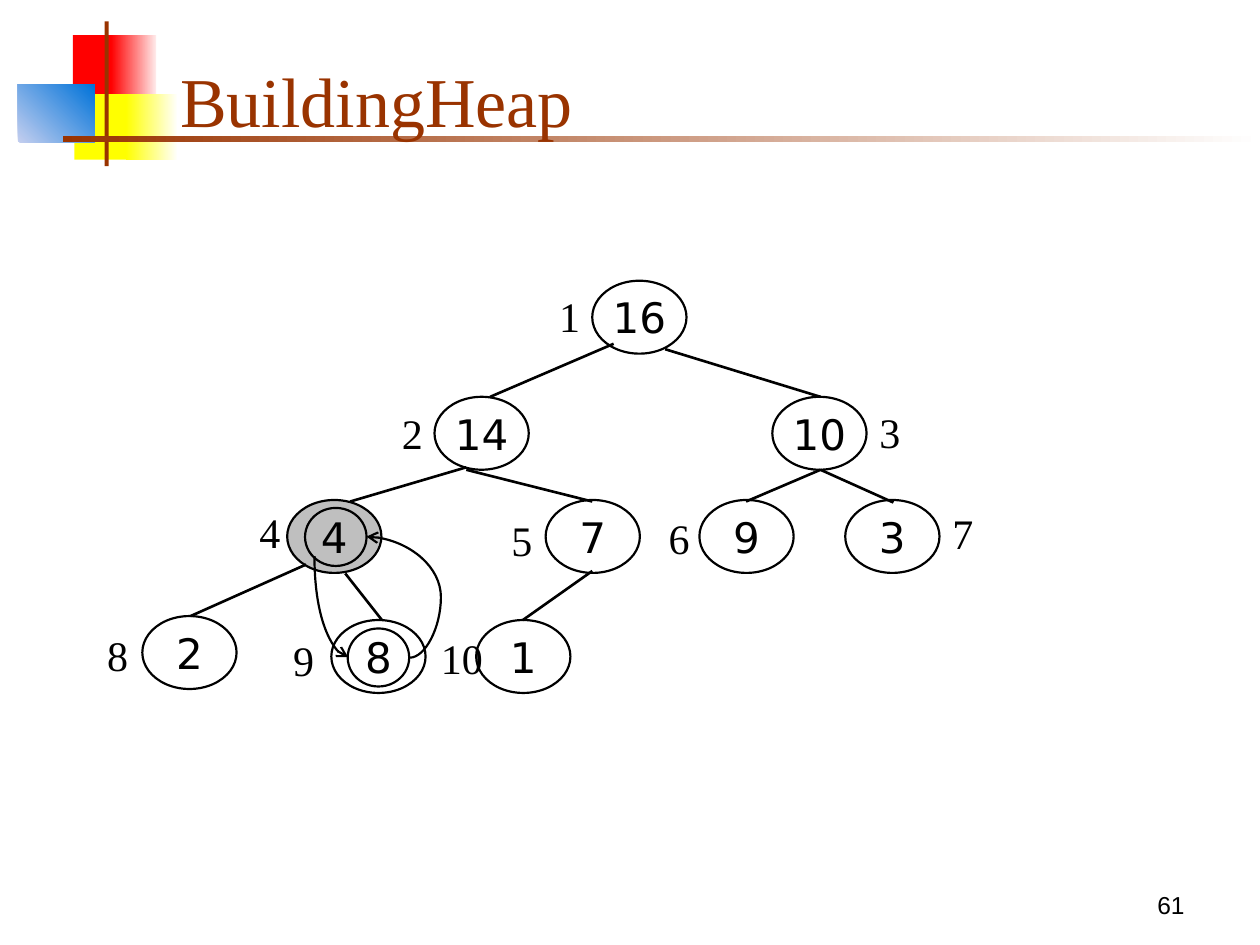
from lxml import etree
from pptx import Presentation
from pptx.dml.color import RGBColor
from pptx.enum.shapes import MSO_CONNECTOR as Connector, MSO_SHAPE as Shape
from pptx.enum.text import MSO_ANCHOR as Anchor, MSO_AUTO_SIZE as AutoSize, PP_ALIGN as Align
from pptx.oxml.ns import qn
from pptx.util import Cm, Pt

COLORS = {
    "black": "000000", "brown": "993300", "white": "FFFFFF", "gray": "BFBFBF",
    "red": "FF0000", "pale red": "FFEAEA", "yellow": "FFFF00",
    "pale yellow": "FFFFF8", "pale blue": "C4CFEF", "blue": "0073D9",
}
TITLE = {"name": "Times New Roman", "size": Pt(40)}
KEY = {"name": "DejaVu Sans", "size": Pt(24)}
INDEX = {"name": "Times New Roman", "size": Pt(24)}
PAGE = {"name": "Arial", "size": Pt(14)}

NODE_SIZE = (1.9, 1.47)
RING_SIZE = (1.24, 1.17)

# left, top, colours, angle
DECORATION = [
    ((1.47, 0.71, 0.89, 1.32), ["red"], 0),
    ((2.24, 0.71, 0.91, 1.32), ["red", "pale red"], 0),
    ((1.5, 1.9, 1.17, 1.32), ["yellow"], 0),
    ((2.54, 1.9, 1.02, 1.32), ["yellow", "pale yellow"], 0),
    ((0.36, 1.7, 1.55, 1.17), ["pale blue", "blue"], 45),
    ((2.11, 0.43, 0.08, 2.92), ["brown"], 0),
    ((1.27, 2.74, 24.13, 0.13), ["brown", "white"], 0),
]
# Heap in array order: key, node position, index label position
HEAP = [
    ("16", (11.94, 5.66), (11.02, 5.74)),
    ("14", (8.76, 8), (7.85, 8.1)),
    ("10", (15.57, 8), (17.48, 8.08)),
    ("4", (5.79, 10.08), (4.98, 10.08)),
    ("7", (11, 10.08), (10.06, 10.24)),
    ("9", (14.1, 10.08), (13.23, 10.21)),
    ("3", (17.04, 10.08), (18.95, 10.11)),
    ("2", (2.87, 12.42), (1.91, 12.57)),
    ("8", (6.68, 12.5), (5.66, 12.67)),
    ("1", (9.6, 12.5), (8.64, 12.62)),
]
CURRENT_INDEX = 4
EDGES = [
    (12.37, 6.93, 9.88, 8), (13.41, 7.04, 16.54, 8),
    (9.4, 9.42, 7.06, 10.11), (9.4, 9.47, 11.94, 10.11),
    (16.54, 9.47, 15.04, 10.11), (16.54, 9.47, 18.01, 10.13),
    (6.17, 11.38, 3.84, 12.42), (6.96, 11.56, 7.7, 12.5),
    (11.94, 11.51, 10.54, 12.5),
]
SWAP_RINGS = [(7.01, 12.67), (6.15, 10.24)]


def rgb(name):
    return RGBColor.from_string(COLORS[name])


def lengths(values):
    return [Cm(value) for value in values]


def write(text_frame, text, style, color="black", align=Align.LEFT):
    paragraph = text_frame.paragraphs[0]
    paragraph.alignment = align
    run = paragraph.add_run()
    run.text = text
    for name, value in style.items():
        setattr(run.font, name, value)
    run.font.color.rgb = rgb(color)


def add_block(slide, box, colors, angle):
    shape = slide.shapes.add_shape(Shape.RECTANGLE, *lengths(box))
    shape.shadow.inherit = False
    shape.line.fill.background()
    if len(colors) == 1:
        shape.fill.solid()
        shape.fill.fore_color.rgb = rgb(colors[0])
        return
    shape.fill.gradient()
    shape.fill.gradient_angle = angle
    for stop, color in zip(shape.fill.gradient_stops, colors):
        stop.color.rgb = rgb(color)


def add_ellipse(slide, position, size, fill=None):
    shape = slide.shapes.add_shape(Shape.OVAL, *lengths(position + size))
    shape.shadow.inherit = False
    shape.line.color.rgb = rgb("black")
    shape.line.width = Pt(1.25)
    if fill:
        shape.fill.solid()
        shape.fill.fore_color.rgb = rgb(fill)
    else:
        shape.fill.background()
    return shape


def add_node(slide, key, position, fill=None):
    text_frame = add_ellipse(slide, position, NODE_SIZE, fill).text_frame
    text_frame.word_wrap = False
    text_frame.vertical_anchor = Anchor.MIDDLE
    write(text_frame, key, KEY, align=Align.CENTER)


def add_label(slide, text, position):
    box = (*position, 0.94 if len(text) == 1 else 1.37, 1.27)
    text_frame = slide.shapes.add_textbox(*lengths(box)).text_frame
    text_frame.word_wrap = False
    text_frame.auto_size = AutoSize.SHAPE_TO_FIT_TEXT
    write(text_frame, text, INDEX)


def add_line(slide, ends, kind=Connector.STRAIGHT, width=1.5):
    connector = slide.shapes.add_connector(kind, *lengths(ends))
    connector.line.color.rgb = rgb("black")
    connector.line.width = Pt(width)
    etree.SubElement(connector.element.spPr, qn("a:effectLst"))
    return connector


def add_swap_arrow(slide, ends, preset, turn=0, bend=None):
    connector = add_line(slide, ends, Connector.CURVE, 1.25)
    properties = connector.element.spPr
    etree.SubElement(properties.find(qn("a:ln")), qn("a:tailEnd"), type="arrow")
    properties.find(qn("a:xfrm")).set("rot", str(turn * 60000))
    geometry = properties.find(qn("a:prstGeom"))
    geometry.set("prst", preset)
    if bend is not None:
        guides = geometry.find(qn("a:avLst"))
        etree.SubElement(guides, qn("a:gd"), name="adj1", fmla=f"val {bend}")


def add_title(slide, text):
    title = slide.shapes.title
    box = dict(zip(("left", "top", "width", "height"), lengths((3.38, 0.64, 21.64, 2.34))))
    for name, value in box.items():
        setattr(title, name, value)
    title.text_frame.vertical_anchor = Anchor.BOTTOM
    title.text_frame.auto_size = AutoSize.NONE
    write(title.text_frame, text, TITLE, "brown")


def add_page_number(slide, text):
    text_frame = slide.shapes.add_textbox(*lengths((18.21, 17.78, 5.92, 0.89))).text_frame
    text_frame.word_wrap = True
    text_frame.vertical_anchor = Anchor.BOTTOM
    write(text_frame, text, PAGE, align=Align.RIGHT)


def main():
    presentation = Presentation()
    presentation.slide_width, presentation.slide_height = Cm(25.4), Cm(19.05)
    slide = presentation.slides.add_slide(presentation.slide_layouts[5])

    # Heading
    for box, colors, angle in DECORATION:
        add_block(slide, box, colors, angle)
    add_title(slide, "BuildingHeap")
    # The title lies over the decoration
    slide.shapes.element.append(slide.shapes.title.element)
    add_page_number(slide, "61")

    # Heap tree
    for index, (key, position, label_position) in enumerate(HEAP, 1):
        add_node(slide, key, position, "gray" if index == CURRENT_INDEX else None)
        add_label(slide, str(index), label_position)
    for ends in EDGES:
        add_line(slide, ends)

    # Swap of 4 and 8
    for position in SWAP_RINGS:
        add_ellipse(slide, position, RING_SIZE)
    add_swap_arrow(slide, (7.7, 11.89, 5.66, 12.57), "curvedConnector2", turn=270)
    add_swap_arrow(slide, (8.26, 13.26, 7.39, 10.82), "curvedConnector3", bend=-72500)

    presentation.save("out.pptx")


if __name__ == "__main__":
    main()
